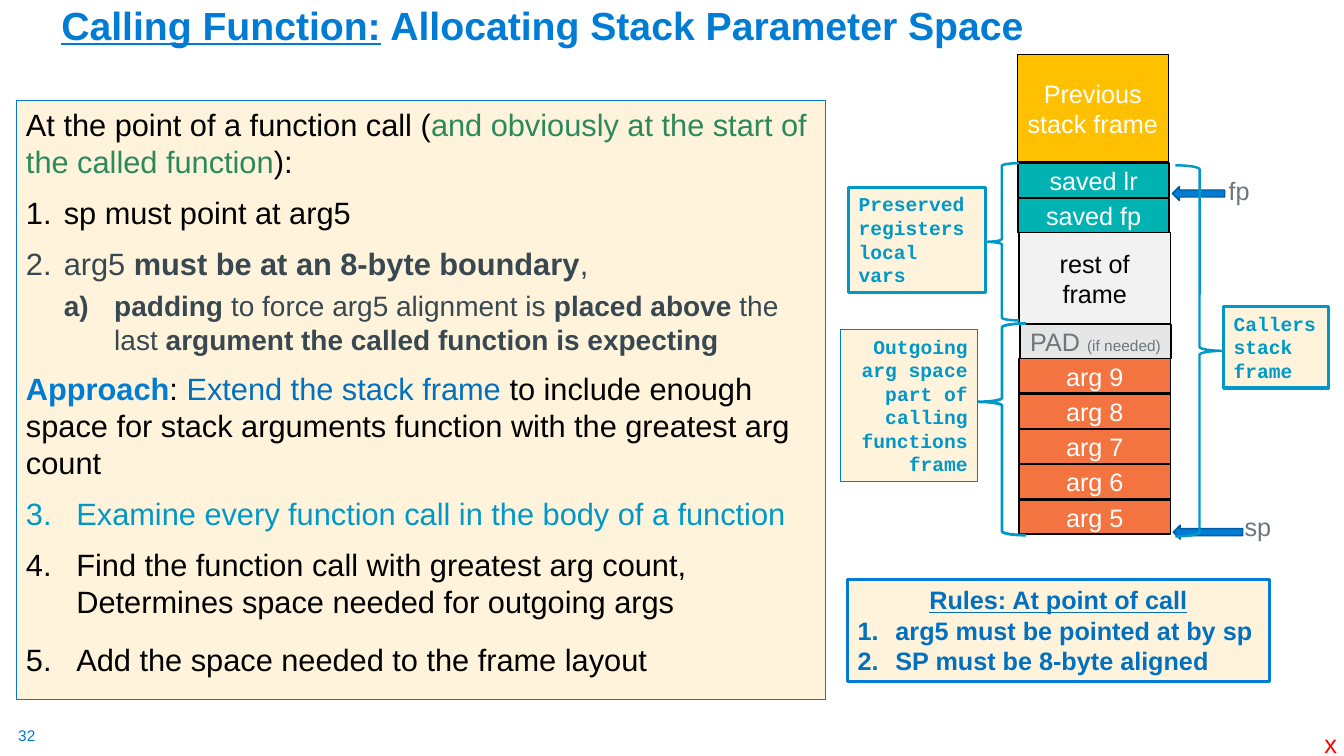
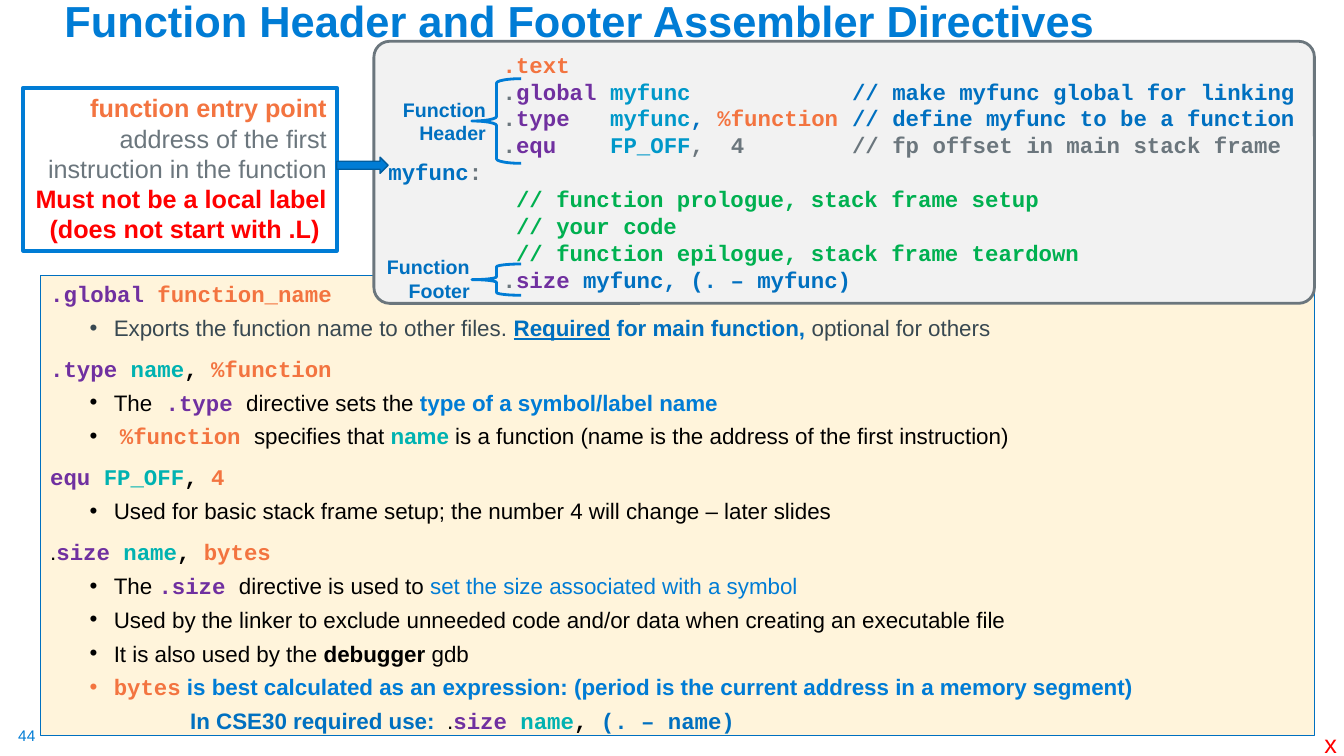
"""Two lecture slides on stack parameter space and assembler directives."""
from dataclasses import dataclass

import lxml.etree
import pptx
import pptx.dml.color
import pptx.enum.shapes
import pptx.enum.text
import pptx.oxml.ns
import pptx.util

Pt = pptx.util.Pt
SHAPE = pptx.enum.shapes.MSO_SHAPE
ALIGN = pptx.enum.text.PP_ALIGN
ANCHOR = pptx.enum.text.MSO_ANCHOR

BLUE, DEEP_BLUE, EDGE_BLUE, CYAN = "007CD5", "0070C0", "005C9E", "0098C9"
BLACK, WHITE, SLATE, GRAY, PALE = "000000", "FFFFFF", "384851", "6B767D", "F2F2F2"
ORANGE, TEAL, PURPLE, RED, CREAM = "F37440", "00B2B1", "7030A0", "FF0000", "FFF4DB"
SEA, GREEN, AMBER, SILVER = "2C895B", "00B050", "FFC000", "E7E6E6"

INSETS = (7.2, 3.6, 7.2, 3.6)
CODE_STOPS = (81.6, 158.4, 331.2)


@dataclass
class Line:
    """A paragraph; runs are (text, colour, style, size), style from b, u, m."""
    runs: list
    size: float = 18
    align: object = ALIGN.LEFT
    before: float = 0
    left: float = 0
    hang: float = 0
    level: int = 0
    bullet: str = ""
    numbering: str = ""
    start: int = 1
    spacing: float = 1
    stops: tuple = ()


def color(hex_code):
    """Turn a hex string into a colour."""
    return pptx.dml.color.RGBColor.from_string(hex_code)


def add_node(parent, tag, **attributes):
    """Append a DrawingML element."""
    return lxml.etree.SubElement(parent, pptx.oxml.ns.qn(tag), **attributes)


def add_run(paragraph, size, text, hue, style="", own_size=None):
    """Add one formatted run."""
    run = paragraph.add_run()
    run.text = text
    run.font.name = "Courier New" if "m" in style else "Arial"
    run.font.size = Pt(own_size or size)
    run.font.color.rgb = color(hue)
    run.font.bold = "b" in style
    run.font.underline = "u" in style


def format_line(paragraph, line):
    """Apply spacing, indents, bullets and tab stops."""
    paragraph.alignment = line.align
    paragraph.level = line.level
    paragraph.line_spacing = line.spacing
    paragraph.space_before = Pt(line.before)
    props = paragraph._p.get_or_add_pPr()
    if line.left:
        props.set("marL", str(Pt(line.left)))
    if line.hang:
        props.set("indent", str(Pt(-line.hang)))
    if line.bullet or line.numbering:
        add_node(props, "a:buFont", typeface="Arial")
    if line.bullet:
        add_node(props, "a:buChar", char=line.bullet)
    elif line.numbering:
        add_node(props, "a:buAutoNum", type=line.numbering, startAt=str(line.start))
    if line.stops:
        tabs = add_node(props, "a:tabLst")
        for stop in line.stops:
            add_node(tabs, "a:tab", pos=str(Pt(stop)), algn="l")


def write(frame, lines, anchor=ANCHOR.TOP, insets=INSETS, wrap=True):
    """Fill a text frame with lines."""
    frame.word_wrap = wrap
    frame.vertical_anchor = anchor
    (frame.margin_left, frame.margin_top,
     frame.margin_right, frame.margin_bottom) = map(Pt, insets)
    for index, line in enumerate(lines):
        paragraph = frame.add_paragraph() if index else frame.paragraphs[0]
        format_line(paragraph, line)
        for run in line.runs:
            add_run(paragraph, line.size, *run)


def add_label(slide, place, lines, **layout):
    """Place free text."""
    write(slide.shapes.add_textbox(*map(Pt, place)).text_frame, lines, **layout)


def add_outline(slide, kind, place, fill, edge, weight, adjust=()):
    """Place a preset shape with a fill and an edge."""
    shape = slide.shapes.add_shape(kind, *map(Pt, place))
    shape.shadow.inherit = False
    if fill:
        shape.fill.solid()
        shape.fill.fore_color.rgb = color(fill)
    else:
        shape.fill.background()
    shape.line.color.rgb = color(edge)
    shape.line.width = Pt(weight)
    for index, value in enumerate(adjust):
        shape.adjustments[index] = value
    return shape


def add_panel(slide, place, lines, edge=BLUE, weight=0.75, fill=CREAM):
    """Place a bordered text panel."""
    write(add_outline(slide, SHAPE.RECTANGLE, place, fill, edge, weight).text_frame, lines)


def add_note(slide, place, words, weight=2.25, edge=CYAN, align=ALIGN.LEFT):
    """Place a cream note in monospaced type."""
    lines = [Line([(text, CYAN, "bm")], 14, align) for text in words]
    add_panel(slide, place, lines, edge, weight)


def add_cell(slide, place, fill, *runs):
    """Place one cell of the stack."""
    cell = add_outline(slide, SHAPE.RECTANGLE, place, fill, BLACK, 1)
    write(cell.text_frame, [Line(list(runs), align=ALIGN.CENTER)],
          ANCHOR.MIDDLE, (5, 3.6, 5, 3.6))


def add_arrow(slide, kind, place):
    """Place a block arrow."""
    add_outline(slide, kind, place, BLUE, EDGE_BLUE, 1)


def add_frame(slide, number, place, title, size):
    """Add the title, page number and corner mark that slides share."""
    add_label(slide, (13, 519, 13.7, 13.7), [Line([(number, BLUE)], 11)],
              insets=(0, 0, 0, 0), wrap=False)
    add_label(slide, place, [Line(title, size, spacing=0.9)], anchor=ANCHOR.BOTTOM)
    add_label(slide, (938.9, 517, 23.8, 28.8), [Line([("x", RED)])], wrap=False)


def numbered(runs, left=27, start=1, size=22, **options):
    """Make a numbered line with a hanging indent."""
    return Line(runs, size, left=left, hang=left, numbering="arabicPeriod",
                start=start, **options)


def directive(*runs):
    """Make a heading line for a directive."""
    return Line(list(runs), 16, before=10)


def detail(*runs):
    """Make a bulleted line under a directive."""
    return Line(list(runs), 16, before=5, left=45.4, hang=17.3, level=1, bullet="•")


def code(*runs, left=0):
    """Make a line of the assembler listing."""
    return Line(list(runs), 16, left=left, stops=() if left else CODE_STOPS)


def draw_stack(slide):
    """Draw the stack cells, pointers, braces and notes."""
    for index in range(5):
        add_cell(slide, (728, 256.3 + 25.2 * index, 108, 24.5), ORANGE,
                 (f"arg {9 - index}", WHITE))
    for index, register in enumerate(("lr", "fp")):
        add_cell(slide, (727.2, 116.6 + 25.2 * index, 108, 24.5), TEAL,
                 (f"saved {register}", WHITE))
    add_cell(slide, (728, 166, 108, 65.5), PALE, ("rest of frame", BLACK))
    add_cell(slide, (726.6, 38.9, 108, 77), AMBER, ("Previous stack frame", WHITE))
    add_cell(slide, (728.6, 231.8, 108, 24.5), SILVER,
             ("PAD ", GRAY), ("(if needed)", GRAY, "", 11))
    for name, label_place, arrow_place in (
            ("sp", (882, 361.4, 33.8, 28.8), (838, 375.1, 49.7, 10)),
            ("fp", (870.5, 121.7, 29.5, 28.8), (837.4, 133.2, 37.4, 10))):
        add_label(slide, label_place, [Line([(name, GRAY)])], wrap=False)
        add_arrow(slide, SHAPE.LEFT_ARROW, arrow_place)
    for kind, place, weight, tip in (
            (SHAPE.LEFT_BRACE, (698.4, 231.1, 34.6, 151.2), 2, 0.37),
            (SHAPE.LEFT_BRACE, (703.4, 116.6, 24.5, 112.3), 1.75, 0.5),
            (SHAPE.RIGHT_BRACE, (839.5, 118.1, 34.6, 265), 1.75, 0.5)):
        add_outline(slide, kind, place, None, CYAN, weight, (0.08, tip))
    add_note(slide, (600.5, 235.4, 97.9, 108.7),
             ["Outgoing arg space part of calling functions frame"], 0.75, BLUE, ALIGN.RIGHT)
    add_note(slide, (606.2, 133.9, 97.9, 74.9), ["Preserved registers", "local vars"])
    add_note(slide, (874.1, 218.9, 74.9, 58.3), ["Callers stack frame"])


def draw_parameter_space(slide):
    """Build the slide on stack parameter space."""
    add_frame(slide, "32", (36.7, 2.2, 886.3, 36),
              [("Calling Function:", BLUE, "bu"),
               (" Allocating Stack Parameter Space", BLUE, "b")], 28)
    add_panel(slide, (11.5, 72, 578.2, 427.7), [
        Line([("At the point of a function call (", BLACK),
              ("and obviously at the start of the called function", SEA),
              ("):", BLACK)], 22, before=10),
        numbered([("sp must point at arg5", BLACK)], before=10),
        numbered([("arg5 ", SLATE), ("must be at an 8-byte boundary", SLATE, "b"),
                  (", ", SLATE)], before=10),
        Line([("padding", SLATE, "b"), (" to force arg5 alignment is ", SLATE),
              ("placed above", SLATE, "b"), (" the last ", SLATE),
              ("argument the called function is expecting", SLATE, "b")],
             20, before=5, left=63, hang=36, level=1, numbering="alphaLcParenR"),
        Line([("Approach", BLUE, "b"), (": ", BLACK),
              ("Extend the stack frame ", DEEP_BLUE),
              ("to include enough space for stack arguments function with the "
               "greatest arg count", BLACK)], 22, before=10),
        numbered([("Examine every function call in the body of a function ", CYAN)],
                 36, 3, before=10),
        numbered([("Find the function call with greatest arg count, Determines space "
                   "needed for outgoing args ", BLACK)], 36, 3, before=10),
        numbered([("Add the space needed to the frame layout", BLACK)],
                 36, 3, before=10, spacing=1.2)])
    draw_stack(slide)
    add_panel(slide, (605.5, 414, 301, 72.7), [
        Line([("Rules: At point of call", DEEP_BLUE, "bu")], align=ALIGN.CENTER),
        numbered([("arg5 must be pointed at by sp", DEEP_BLUE, "b")], size=18),
        numbered([("SP must be 8-byte aligned", DEEP_BLUE, "b")], size=18)], weight=2.25)


def draw_listing(slide):
    """Draw the assembler listing with its braces and labels."""
    listing = add_outline(slide, SHAPE.ROUNDED_RECTANGLE, (267.1, 29.5, 671.8, 187.2),
                          PALE, GRAY, 2, (0.06,))
    dot = ("\t.", GRAY, "bm")
    write(listing.text_frame, [
        code(("\t.text", ORANGE, "bm")),
        code(dot, ("global", PURPLE, "bm"), ("\tmyfunc", CYAN, "bm"),
             ("\t// make myfunc global for linking", DEEP_BLUE, "bm")),
        code(dot, ("type", PURPLE, "bm"), ("\tmyfunc", CYAN, "bm"), (", ", DEEP_BLUE, "bm"),
             ("%function", ORANGE, "bm"),
             ("\t// define myfunc to be a function", DEEP_BLUE, "bm")),
        code(dot, ("equ", PURPLE, "bm"), ("\tFP_OFF", CYAN, "bm"),
             (",  4\t// fp offset in main stack frame", GRAY, "bm")),
        code(("myfunc", DEEP_BLUE, "bm"), (":", GRAY, "bm")),
        *[code((f"// {step}", GREEN, "bm"), left=91.2) for step in (
            "function prologue, stack frame setup", "your code",
            "function epilogue, stack frame teardown")],
        code(dot, ("size ", PURPLE, "bm"), ("myfunc, (. – myfunc)", DEEP_BLUE, "bm"))])
    for part, left, top, brace_top, brace_height in (
            ("Header", 277.2, 66.2, 56.2, 60.5), ("Footer", 265.7, 178.6, 188.6, 22.3)):
        add_outline(slide, SHAPE.LEFT_BRACE, (337, brace_top, 35.3, brace_height),
                    None, BLUE, 2, (0.09, 0.5))
        add_label(slide, (left, top, 77, 41),
                  [Line([(f"Function {part}", DEEP_BLUE, "b")], 14, ALIGN.RIGHT)])


def draw_directives(slide):
    """Build the slide on header and footer directives."""
    add_frame(slide, "44", (38.9, 0, 828, 37.4),
              [("Function Header and Footer Assembler Directives", BLUE, "b")], 31)
    name, comma = ("name", TEAL, "bm"), (", ", BLACK, "bm")
    size = ("size ", PURPLE, "bm")
    add_panel(slide, (28.8, 196.6, 910.1, 329), [
        directive((".global ", PURPLE, "bm"), ("function_name", ORANGE, "bm")),
        detail(("Exports the function name to other files. ", SLATE),
               ("Required", DEEP_BLUE, "bu"), (" for main function, ", DEEP_BLUE, "b"),
               ("optional for others", SLATE)),
        directive((".type ", PURPLE, "bm"), name, comma, ("%function ", ORANGE, "bm")),
        detail(("The", BLACK), (" .type ", PURPLE, "bm"), ("directive sets the ", BLACK),
               ("type of a symbol/label name", BLUE, "b")),
        detail((" ", BLACK), ("%function ", ORANGE, "bm"), ("specifies that ", BLACK),
               ("name", TEAL, "b"),
               (" is a function (name is the address of the first instruction)", BLACK)),
        directive(("equ ", PURPLE, "bm"), ("FP_OFF", TEAL, "bm"), comma, ("4", ORANGE, "bm")),
        detail(("Used for basic stack frame setup; the number 4 will change – later slides",
                BLACK)),
        directive((".", BLACK), size, name, comma, ("bytes ", ORANGE, "bm")),
        detail(("The ", BLACK), (".size ", PURPLE, "bm"), ("directive is used to ", BLACK),
               ("set the size associated with a symbol", BLUE)),
        detail(("Used by the linker to exclude unneeded code and/or data when creating "
                "an executable file", BLACK)),
        detail(("It is also used by the ", BLACK), ("debugger ", BLACK, "b"), ("gdb", BLACK)),
        detail(("bytes", ORANGE, "bm"),
               (" is best calculated as an expression: (period is the current address in "
                "a memory segment)", BLUE, "b")),
        Line([("In CSE30 required use:  ", DEEP_BLUE, "b"), (".", BLACK), size, name, comma,
              ("(. – name)", DEEP_BLUE, "bm")], 16, before=5, left=100, level=1)],
        edge=DEEP_BLUE)
    draw_listing(slide)
    add_panel(slide, (16.6, 62.6, 223.9, 116.6), [
        Line([run], align=ALIGN.RIGHT) for run in (
            ("function entry point", ORANGE, "b"),
            ("address of the first instruction in the function", GRAY),
            ("Must not be a local label (does not start with .L) ", RED, "b"))],
        weight=2.75, fill=None)
    add_arrow(slide, SHAPE.RIGHT_ARROW, (240.5, 112.3, 36.7, 11.5))


def main():
    """Build and save the deck."""
    deck = pptx.Presentation()
    deck.slide_width, deck.slide_height = Pt(960), Pt(540)
    for draw in (draw_parameter_space, draw_directives):
        draw(deck.slides.add_slide(deck.slide_layouts[6]))
    deck.save("out.pptx")


main()
